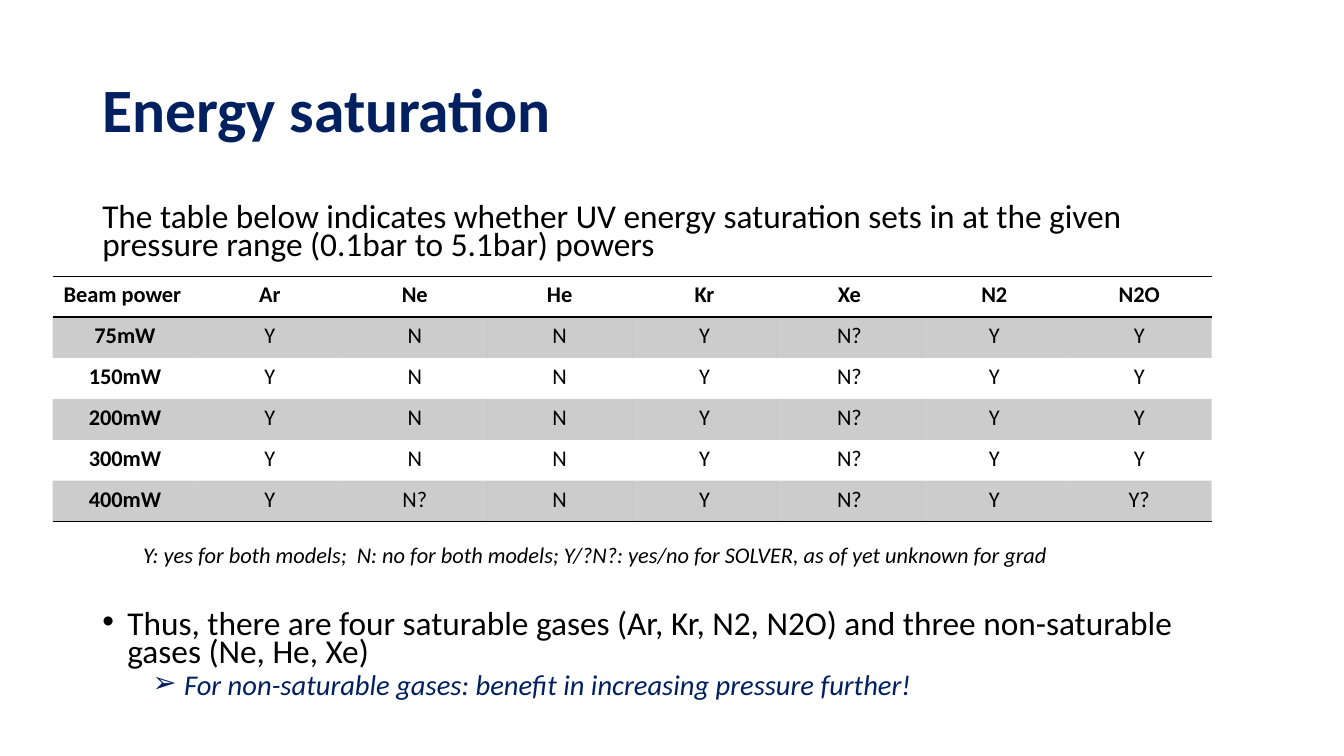
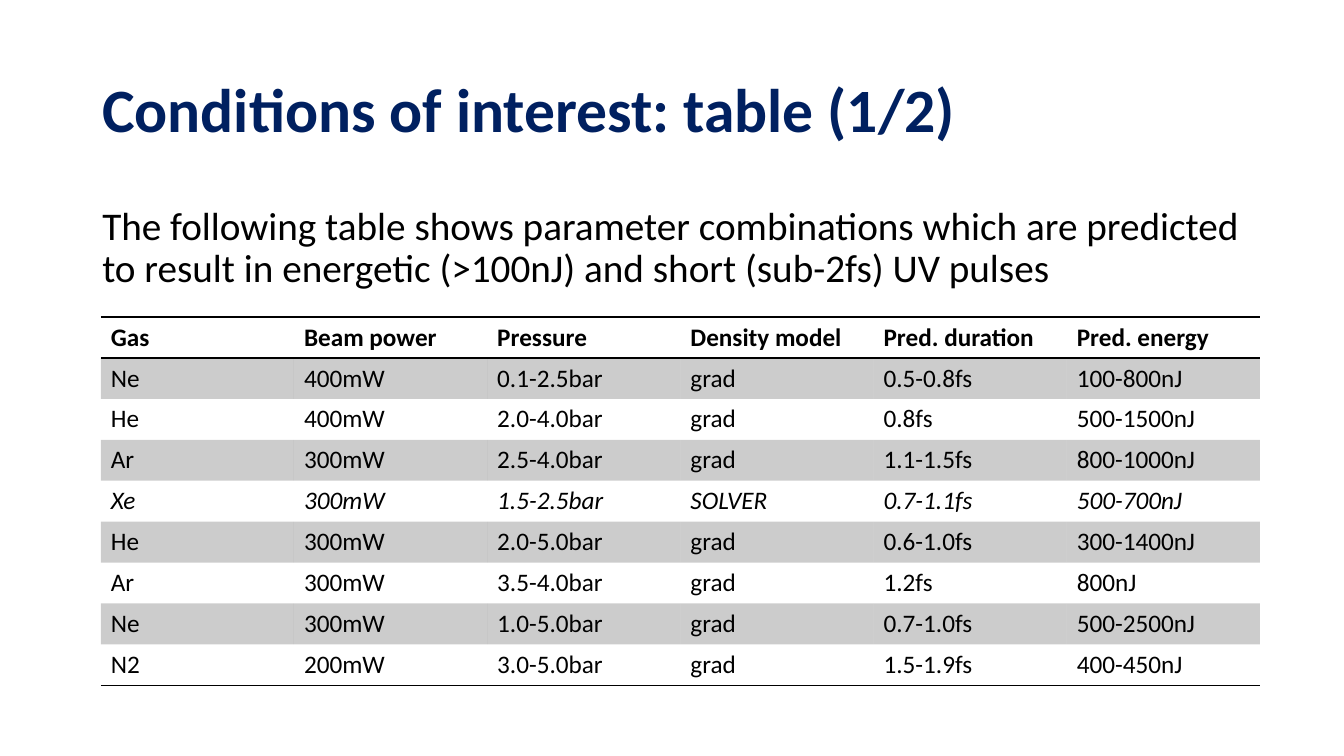
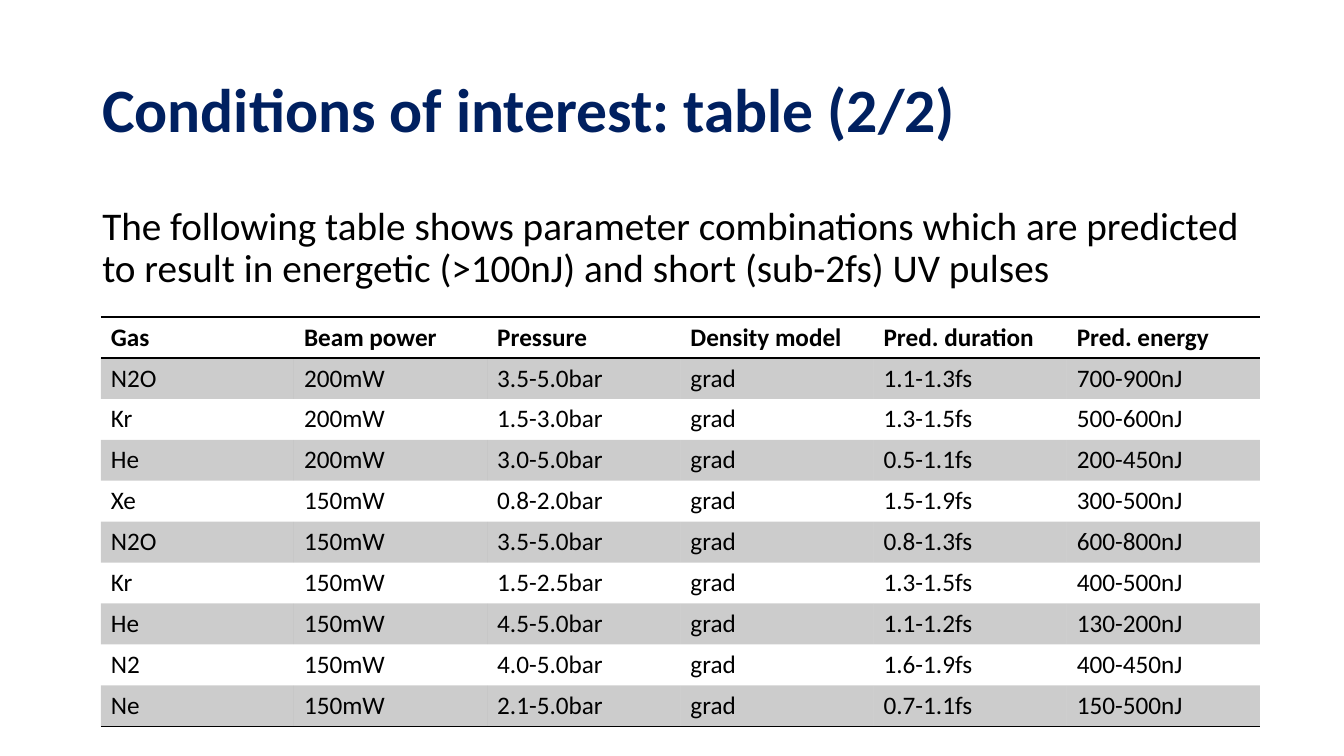
from lxml import etree
from pptx import Presentation
from pptx import util as u
from pptx.dml.color import RGBColor
from pptx.enum import text
from pptx.oxml import ns

PX = 9525
FONT = "Calibri"
COLORS = {"ink": "000000", "navy": "002060"}
LEFT, WIDTH = 88, 1104
ROW_HEIGHT = 39
PLAIN_STYLE = "{2D5ABB26-0587-4C30-8999-92F81FD0307C}"

INTRO = ("The following table shows parameter combinations which are predicted "
         "to result in energetic (>100nJ) and short (sub-2fs) UV pulses")
CONDITION_HEAD = ["Gas", "Beam power", "Pressure", "Density model",
                  "Pred. duration", "Pred. energy"]
SATURATION = [
    ["Beam power ", "Ar", "Ne", "He", "Kr", "Xe", "N2", "N2O"],
    ["75mW", "Y", "N", "N", "Y", "N?", "Y", "Y"],
    ["150mW", "Y", "N", "N", "Y", "N?", "Y", "Y"],
    ["200mW", "Y", "N", "N", "Y", "N?", "Y", "Y"],
    ["300mW", "Y", "N", "N", "Y", "N?", "Y", "Y"],
    ["400mW", "Y", "N?", "N", "Y", "N?", "Y", "Y?"],
]
CONDITIONS = [
    [
        ["Ne", "400mW", "0.1-2.5bar", "grad", "0.5-0.8fs", "100-800nJ"],
        ["He", "400mW", "2.0-4.0bar", "grad", "0.8fs", "500-1500nJ"],
        ["Ar", "300mW", "2.5-4.0bar", "grad", "1.1-1.5fs", "800-1000nJ"],
        ["Xe", "300mW", "1.5-2.5bar", "SOLVER", "0.7-1.1fs", "500-700nJ"],
        ["He", "300mW", "2.0-5.0bar", "grad", "0.6-1.0fs", "300-1400nJ"],
        ["Ar", "300mW", "3.5-4.0bar", "grad", "1.2fs", "800nJ"],
        ["Ne", "300mW", "1.0-5.0bar", "grad", "0.7-1.0fs", "500-2500nJ"],
        ["N2", "200mW", "3.0-5.0bar", "grad", "1.5-1.9fs", "400-450nJ"],
    ],
    [
        ["N2O", "200mW", "3.5-5.0bar", "grad", "1.1-1.3fs", "700-900nJ"],
        ["Kr", "200mW", "1.5-3.0bar", "grad", "1.3-1.5fs", "500-600nJ"],
        ["He", "200mW", "3.0-5.0bar", "grad", "0.5-1.1fs", "200-450nJ"],
        ["Xe", "150mW", "0.8-2.0bar", "grad", "1.5-1.9fs", "300-500nJ"],
        ["N2O", "150mW", "3.5-5.0bar", "grad", "0.8-1.3fs", "600-800nJ"],
        ["Kr", "150mW", "1.5-2.5bar", "grad", "1.3-1.5fs", "400-500nJ"],
        ["He", "150mW", "4.5-5.0bar", "grad", "1.1-1.2fs", "130-200nJ"],
        ["N2", "150mW", "4.0-5.0bar", "grad", "1.6-1.9fs", "400-450nJ"],
        ["Ne", "150mW", "2.1-5.0bar", "grad", "0.7-1.1fs", "150-500nJ"],
    ],
]


def px(*lengths):
    return [u.Emu(length * PX) for length in lengths]


def add_child(parent, tag, **attributes):
    return etree.SubElement(parent, ns.qn(tag), attributes)


def add_span(para, words, size, color="ink", bold=False, italic=False):
    span = para.add_run()
    span.text = words
    font = span.font
    font.name, font.size = FONT, u.Pt(size)
    font.bold, font.italic = bold, italic
    font.color.rgb = RGBColor.from_string(COLORS[color])


def add_box(page, left, top, width, height, anchor=text.MSO_ANCHOR.TOP):
    frame = page.shapes.add_textbox(*px(left, top, width, height)).text_frame
    frame.word_wrap = True
    frame.vertical_anchor = anchor
    return frame


def set_bullet(para, mark, margin, hang):
    props = para._p.get_or_add_pPr()
    props.set("marL", str(margin * PX))
    props.set("indent", str(-hang * PX))
    add_child(props, "a:buFont", typeface="Arial")
    add_child(props, "a:buChar", char=mark)


def add_title(page, words):
    para = add_box(page, LEFT, 38, WIDTH, 139, text.MSO_ANCHOR.MIDDLE).paragraphs[0]
    para.line_spacing = 0.9
    add_span(para, words, 44, "navy", bold=True)


def add_intro(page, words, size, spacing):
    para = add_box(page, LEFT, 192, WIDTH, 100).paragraphs[0]
    para.line_spacing = spacing
    add_span(para, words, size)


def add_rule(props, side):
    line = add_child(props, side, w=str(u.Pt(1)))
    add_child(add_child(line, "a:solidFill"), "a:srgbClr", val=COLORS["ink"])


def shade(cell, opacity):
    cell.fill.solid()
    cell.fill.fore_color.rgb = RGBColor.from_string(COLORS["ink"])
    tint = cell._tc.tcPr.find(".//" + ns.qn("a:solidFill") + "[last()]/" + ns.qn("a:srgbClr"))
    for tint in cell._tc.tcPr.findall(ns.qn("a:solidFill") + "/" + ns.qn("a:srgbClr")):
        add_child(tint, "a:alpha", val=str(opacity * 1000))


def add_grid(page, rows, left, top, size, align, bold_column=False, italic_rows=()):
    columns = len(rows[0])
    grid = page.shapes.add_table(
        len(rows), columns, *px(left, top, WIDTH, ROW_HEIGHT * len(rows))).table
    grid._tbl.tblPr.find(ns.qn("a:tableStyleId")).text = PLAIN_STYLE
    for column in grid.columns:
        column.width = u.Emu(WIDTH * PX // columns)
    for r, row in enumerate(rows):
        for c, words in enumerate(row):
            cell = grid.cell(r, c)
            props = cell._tc.get_or_add_tcPr()
            if r == 0:
                add_rule(props, "a:lnT")
            if r in (0, len(rows) - 1):
                add_rule(props, "a:lnB")
            if r % 2:
                shade(cell, 20)
            else:
                cell.fill.background()
            para = cell.text_frame.paragraphs[0]
            para.alignment = align
            add_span(para, words, size, bold=r == 0 or (bold_column and c == 0),
                     italic=r in italic_rows)


def add_conclusion(page):
    frame = add_box(page, LEFT, 579, WIDTH, 111)
    finding = frame.paragraphs[0]
    set_bullet(finding, "•", 24, 24)
    finding.line_spacing = 0.7
    add_span(finding, "Thus, there are four saturable gases (Ar, Kr, N2, N2O) and "
             "three non-saturable gases (Ne, He, Xe)", 23.8)
    benefit = frame.add_paragraph()
    set_bullet(benefit, "➢", 78, 30)
    benefit.line_spacing = 0.7
    benefit.space_before = u.Pt(5)
    add_span(benefit, "For non-saturable gases: benefit in increasing pressure further!",
             20.4, "navy", italic=True)


def saturation_page(page):
    add_title(page, "Energy saturation")
    add_intro(page, "The table below indicates whether UV energy saturation sets in "
              "at the given pressure range (0.1bar to 5.1bar) powers", 23.8, 0.7)
    add_grid(page, SATURATION, 50, 263, 16, text.PP_ALIGN.CENTER, bold_column=True)
    legend = add_box(page, 127, 511, 1065, 36).paragraphs[0]
    add_span(legend, "Y: yes for both models;  N: no for both models; Y/?N?: yes/no for "
             "SOLVER, as of yet unknown for grad", 16, italic=True)
    add_conclusion(page)


def conditions_page(page, number, rows):
    add_title(page, f"Conditions of interest: table ({number}/{len(CONDITIONS)})")
    add_intro(page, INTRO, 28, 0.9)
    unsettled = [r for r, row in enumerate(rows, 1) if "SOLVER" in row]
    add_grid(page, [CONDITION_HEAD] + rows, 96, 302, 18, text.PP_ALIGN.LEFT,
             italic_rows=unsettled)


def main():
    deck = Presentation()
    deck.slide_width, deck.slide_height = px(1280, 720)
    blank = deck.slide_layouts[6]
    saturation_page(deck.slides.add_slide(blank))
    for number, rows in enumerate(CONDITIONS, 1):
        conditions_page(deck.slides.add_slide(blank), number, rows)
    deck.save("out.pptx")


if __name__ == "__main__":
    main()
